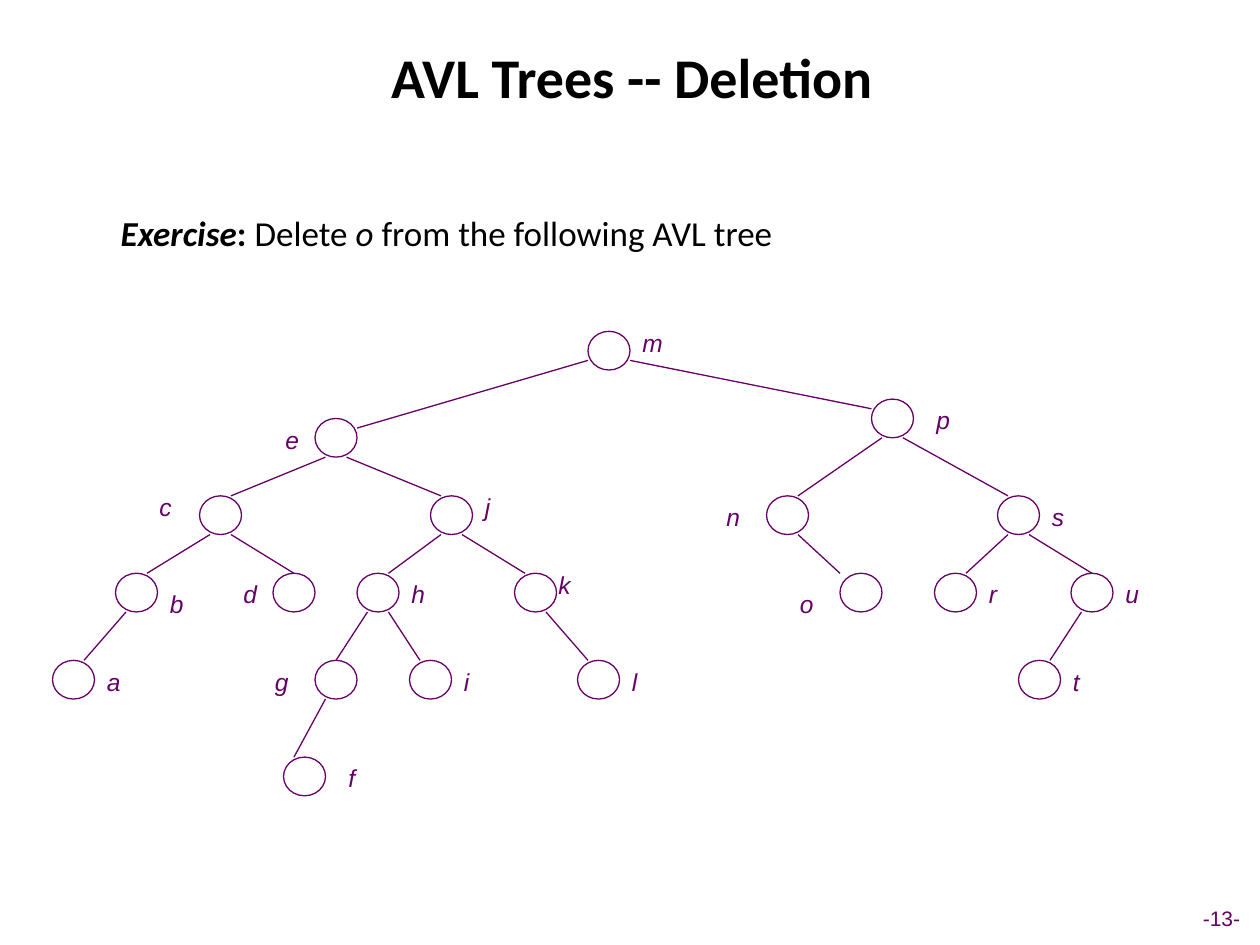
import pptx
import pptx.dml.color
import pptx.enum.shapes
import pptx.enum.text
import pptx.oxml.ns
import pptx.util
from lxml import etree

PURPLE = "660066"
COL, ROW = 1 / 12, 0.0768   # tree grid, inches
TREE_TOP = 2.63
NODE = 4                    # node size in columns and rows

# key: (column, row, parent, label offset in columns and rows)
NODES = {
    "m": (56, 0, None, (4, -1)),
    "e": (30, 9, "m", (-4, 0)),
    "p": (83, 7, "m", (5, 0)),
    "c": (19, 17, "e", (-5, -1)),
    "j": (41, 17, "e", (4, -1)),
    "n": (73, 17, "p", (-5, 0)),
    "s": (95, 17, "p", (4, 0)),
    "b": (11, 25, "c", (4, 1)),
    "d": (26, 25, "c", (-4, 0)),
    "h": (34, 25, "j", (4, 0)),
    "k": (49, 25, "j", (3, -1)),
    "o": (80, 25, "n", (-5, 1)),
    "r": (89, 25, "s", (4, 0)),
    "u": (102, 25, "s", (4, 0)),
    "a": (5, 34, "b", (4, 0)),
    "g": (30, 34, "h", (-5, 0)),
    "i": (39, 34, "h", (4, 0)),
    "l": (55, 34, "k", (4, 0)),
    "t": (97, 34, "u", (4, 0)),
    "f": (27, 44, "g", (5, 0)),
}
# columns into the child where its edge lands, if not at the usual quarter
LANDING = {"d": 2, "u": 2, "g": 2, "o": 0, "f": 1}


def inch(value):
    return pptx.util.Inches(value)


def color(hex_code):
    return pptx.dml.color.RGBColor.from_string(hex_code)


def grid(col, row):
    """Return the slide position of a tree grid point."""
    return inch(col * COL), inch(TREE_TOP + row * ROW)


def add_run(p, text, font="Arial", size=14, rgb=PURPLE, bold=False, italic=False):
    r = p.add_run()
    r.text = text
    r.font.name, r.font.size = font, pptx.util.Pt(size)
    r.font.color.rgb = color(rgb)
    r.font.bold, r.font.italic = bold, italic


def set_title(slide, text):
    sp = slide.shapes.title
    sp.left, sp.top, sp.width, sp.height = map(inch, (0.38, 0.13, 9.27, 0.95))
    tf = sp.text_frame
    tf.vertical_anchor = pptx.enum.text.MSO_ANCHOR.MIDDLE
    p = tf.paragraphs[0]
    p.alignment = pptx.enum.text.PP_ALIGN.CENTER
    add_run(p, text, font="Calibri", size=32, rgb="000000", bold=True)


def add_exercise(slide):
    sp = slide.shapes.add_textbox(*map(inch, (0.86, 1.63, 8.38, 5.25)))
    sp.text_frame.word_wrap = True
    p = sp.text_frame.paragraphs[0]
    pPr = p._p.get_or_add_pPr()
    pPr.set("marL", str(inch(0.38)))
    pPr.set("indent", str(-inch(0.38)))
    for text, bold, italic in (("Exercise", True, True), (": ", True, False),
                               ("Delete ", False, False), ("o", False, True),
                               (" from the following AVL tree", False, False)):
        add_run(p, text, font="Calibri", size=20, rgb="000000", bold=bold, italic=italic)


def add_page_number(slide, text):
    sp = slide.shapes.add_textbox(*map(inch, (9.16, 7.14, 1.07, 0.3)))
    tf = sp.text_frame
    tf.word_wrap = False
    tf.vertical_anchor = pptx.enum.text.MSO_ANCHOR.MIDDLE
    p = tf.paragraphs[0]
    p.alignment = pptx.enum.text.PP_ALIGN.CENTER
    add_run(p, text, size=12)


def add_node(shapes, key):
    col, row = NODES[key][:2]
    sp = shapes.add_shape(pptx.enum.shapes.MSO_SHAPE.OVAL, *grid(col, row),
                          inch(NODE * COL), inch(NODE * ROW))
    sp.shadow.inherit = False
    sp.fill.background()
    sp.line.color.rgb = color(PURPLE)
    sp.line.width = pptx.util.Pt(0.75)


def add_edge(shapes, key):
    """Join a node to its parent; the root's edges leave from its sides."""
    col, row, parent = NODES[key][:3]
    parent_col, parent_row = NODES[parent][:2]
    is_left = col < parent_col
    if parent == "m":
        start = 0 if is_left else NODE, 3
        end = NODE if is_left else 0, 1
    else:
        start = 1 if is_left else 3, NODE
        end = LANDING.get(key, 3 if is_left else 1), 0
    line = shapes.add_connector(pptx.enum.shapes.MSO_CONNECTOR.STRAIGHT,
                                *grid(parent_col + start[0], parent_row + start[1]),
                                *grid(col + end[0], row + end[1]))
    line.line.color.rgb = color(PURPLE)
    line.line.width = pptx.util.Pt(0.75)
    etree.SubElement(line._element.spPr, pptx.oxml.ns.qn("a:effectLst"))


def add_label(shapes, key):
    col, row, _, (dx, dy) = NODES[key]
    sp = shapes.add_textbox(*grid(col + dx, row + dy), inch(0.58), inch(0.34))
    sp.text_frame.word_wrap = True
    add_run(sp.text_frame.paragraphs[0], key, italic=True)


def add_tree(slide):
    shapes = slide.shapes.add_group_shape().shapes
    for key in NODES:
        add_node(shapes, key)
    for key, (_, _, parent, _) in NODES.items():
        if parent:
            add_edge(shapes, key)
    for key in NODES:
        add_label(shapes, key)


def main():
    prs = pptx.Presentation()
    prs.slide_width, prs.slide_height = inch(10), inch(7.5)
    slide = prs.slides.add_slide(prs.slide_layouts[5])
    add_page_number(slide, "-13-")
    set_title(slide, "AVL Trees -- Deletion")
    add_exercise(slide)
    add_tree(slide)
    prs.save("out.pptx")


if __name__ == "__main__":
    main()
